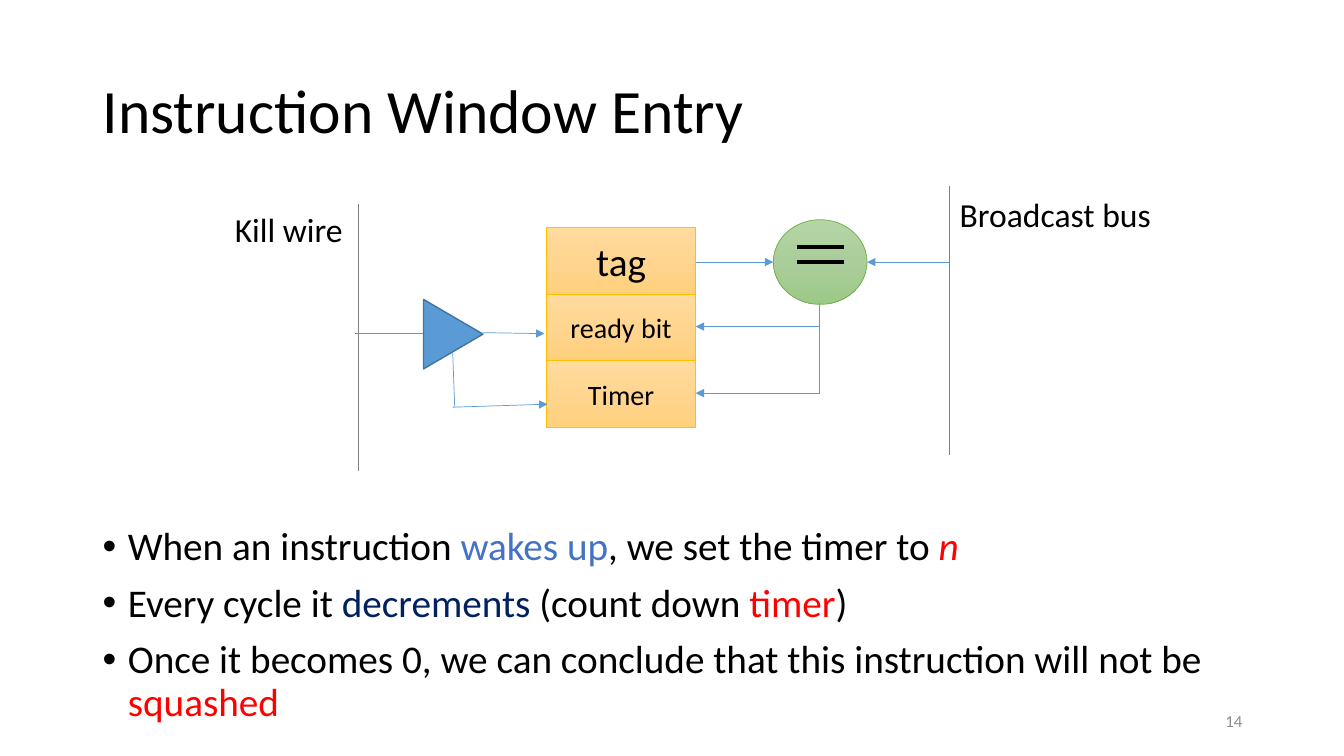
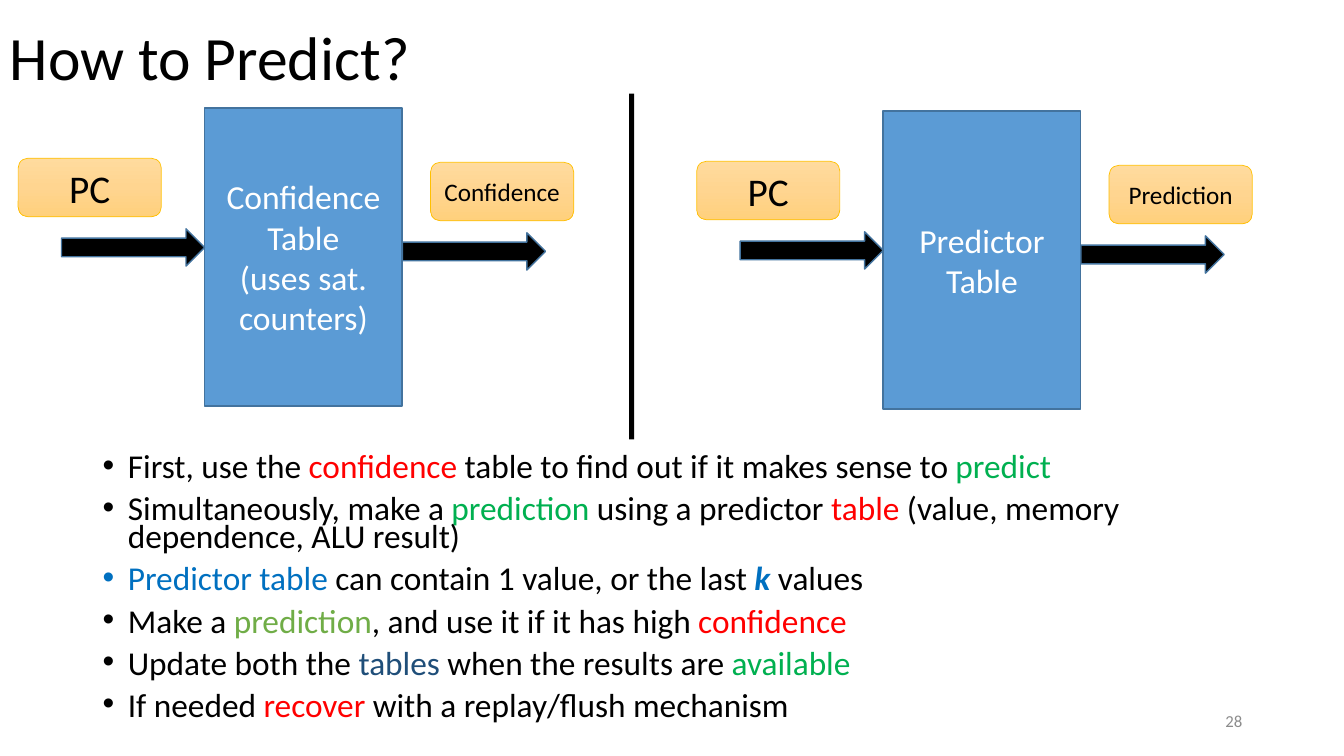
from copy import deepcopy

from lxml import etree
from pptx import Presentation
from pptx.dml.color import RGBColor
from pptx.enum.shapes import MSO_CONNECTOR, MSO_SHAPE
from pptx.enum.text import MSO_ANCHOR, PP_ALIGN
from pptx.oxml.ns import qn
from pptx.util import Inches, Pt

RECT, ROUNDED = MSO_SHAPE.RECTANGLE, MSO_SHAPE.ROUNDED_RECTANGLE
OVAL, TRIANGLE = MSO_SHAPE.OVAL, MSO_SHAPE.ISOSCELES_TRIANGLE
ARROW, STRAIGHT = MSO_SHAPE.RIGHT_ARROW, MSO_CONNECTOR.STRAIGHT
LEFT, CENTER, RIGHT = PP_ALIGN.LEFT, PP_ALIGN.CENTER, PP_ALIGN.RIGHT
TOP, MIDDLE = MSO_ANCHOR.TOP, MSO_ANCHOR.MIDDLE

COLUMNS, ROWS = 13.33, 7.5
FONT = "Calibri"
BLACK, WHITE, GREY, BUS = "000000", "FFFFFF", "8C8C8C", "7F7F7F"
BLUE, BLUE_EDGE = "5B9BD5", "43739E"
RED, GREEN = "FF0000", "00B050"
INDIGO, NAVY, AZURE, LEAF, STEEL = "4472C4", "002060", "0070C0", "70AD47", "1F4E79"
GOLD_EDGE = "FFC000"
GOLD = ("FFDB9E", "FFD590", "FFD07C")
SAGE = ("B5D5A7", "AACE9A", "9CC987")


def color(value):
    return RGBColor.from_string(value)


def grid(*cells):
    return [Inches(cell) for cell in cells]


def write(box, paragraphs, size=24, ink=BLACK, align=LEFT, anchor=TOP,
          wrap=True, spacing=None, before=0, bullet=False):
    frame = box.text_frame
    frame.word_wrap = wrap
    frame.vertical_anchor = anchor
    for index, spans in enumerate(paragraphs):
        para = frame.add_paragraph() if index else frame.paragraphs[0]
        para.alignment = align
        para.space_before = Pt(before)
        if spacing:
            para.line_spacing = spacing
        if bullet:
            properties = para._p.get_or_add_pPr()
            properties.set("marL", str(Inches(0.25)))
            properties.set("indent", str(-Inches(0.25)))
            etree.SubElement(properties, qn("a:buFont")).set("typeface", "Arial")
            etree.SubElement(properties, qn("a:buChar")).set("char", "•")
        for text, *style in [(spans,)] if isinstance(spans, str) else spans:
            span = para.add_run()
            span.text = text
            span.font.name = FONT
            span.font.size = Pt(size)
            span.font.color.rgb = color(style[0] if style else ink)
            span.font.bold = "bold" in style
            span.font.italic = "italic" in style


def add_text(page, place, paragraphs, **style):
    write(page.shapes.add_textbox(*grid(*place)), paragraphs, **style)


def shade(box, stops):
    box.fill.gradient()
    box.fill.gradient_angle = 270
    stop_list = box._element.spPr.find(".//" + qn("a:gsLst"))
    stop_list.insert(1, deepcopy(stop_list[0]))
    for index, stop in enumerate(box.fill.gradient_stops):
        stop.position = index / 2
        stop.color.rgb = color(stops[index])


def add_box(page, kind, place, fill, edge=None, weight=1, turn=0, label=(), **style):
    box = page.shapes.add_shape(kind, *grid(*place))
    box.shadow.inherit = False
    box.rotation = turn
    if isinstance(fill, tuple):
        shade(box, fill)
    else:
        box.fill.solid()
        box.fill.fore_color.rgb = color(fill)
    if edge:
        box.line.color.rgb = color(edge)
        box.line.width = Pt(weight)
    else:
        box.line.fill.background()
    if label:
        write(box, label, align=CENTER, anchor=MIDDLE, **style)


def add_line(page, start, end, ink=BLUE, weight=0.5, arrow=False):
    line = page.shapes.add_connector(STRAIGHT, *grid(*start, *end))
    line.line.color.rgb = color(ink)
    line.line.width = Pt(weight)
    if arrow:
        outline = line.line._get_or_add_ln()
        etree.SubElement(outline, qn("a:tailEnd")).set("type", "triangle")
    etree.SubElement(line._element.spPr, qn("a:effectLst"))


def add_page(deck, title, number, left, top):
    page = deck.slides.add_slide(deck.slide_layouts[6])
    add_text(page, (left, top, 11.5, 1.45), [title], size=44, anchor=MIDDLE, spacing=0.9)
    add_text(page, (9.42, 6.95, 3, 0.4), [number], size=12, ink=GREY,
             align=RIGHT, anchor=MIDDLE)
    return page


def add_bullets(page, top, height, paragraphs, size, spacing):
    add_text(page, (0.92, top, 11.5, height), paragraphs, size=size,
             spacing=spacing, before=10, bullet=True)


def add_entry(page, left, top):
    height = 0.66
    for index, (name, size) in enumerate((("tag", 28), ("ready bit", 20), ("Timer", 20))):
        add_box(page, RECT, (left, top + index * height, 1.48, height), GOLD,
                GOLD_EDGE, 0.5, label=[name], size=size)


def add_comparator(page, entry_right, center, bus):
    tag_row, ready_row, timer_row = 2.6, 3.24, 3.9
    add_line(page, (entry_right, tag_row), (7.67, tag_row), arrow=True)
    add_box(page, OVAL, (7.67, 2.18, 0.93, 0.84), SAGE, LEAF, 0.5)
    for row in (2.45, 2.6):
        add_line(page, (7.9, row), (8.37, row), BLACK, 3)
    add_line(page, (center, 3.01), (center, timer_row))
    for row in (ready_row, timer_row):
        add_line(page, (center, row), (entry_right, row), arrow=True)
    add_line(page, (bus, 1.85), (bus, 4.51), BUS)
    add_line(page, (bus, tag_row), (8.6, tag_row), arrow=True)
    add_text(page, (bus, 1.87, 2.11, 0.5), ["Broadcast bus"], wrap=False)


def add_kill_wire(page, wire):
    add_line(page, (wire, 2.02), (wire, 4.67), BUS)
    add_text(page, (2.23, 2.02, 1.28, 0.5), ["Kill wire"], wrap=False)
    add_box(page, TRIANGLE, (4.15, 3.02, 0.69, 0.59), BLUE, BLUE_EDGE, turn=90)
    add_line(page, (3.52, 3.31), (4.2, 3.31))
    add_line(page, (4.79, 3.3), (5.4, 3.31), arrow=True)
    add_line(page, (4.49, 3.49), (4.51, 4.04))
    add_line(page, (4.49, 4.04), (5.43, 4.01), arrow=True)


def add_lookup(page, left, top, label, result):
    width, arrow = 1.96, 1.42
    add_box(page, RECT, (left, top, width, 2.96), BLUE, BLUE_EDGE, label=label, ink=WHITE)
    for column, row in ((left - arrow, top + 1.2), (left + width, top + 1.24)):
        add_box(page, ARROW, (column, row, arrow, 0.37), BLACK, BLUE_EDGE)
    for column, row, name, size in ((left - 1.85, top + 0.5, "PC", 28),
                                    (left + 2.24, top + 0.54, result, 18)):
        add_box(page, ROUNDED, (column, row, arrow, 0.58), GOLD, GOLD_EDGE, 0.5,
                label=[name], size=size)


def build_window_entry(deck):
    page = add_page(deck, "Instruction Window Entry", "14", 0.92, 0.4)
    add_bullets(page, 5.18, 2.12, [
        [("When an instruction ",), ("wakes up", INDIGO),
         (", we set the timer to ",), ("n", RED, "italic")],
        [("Every cycle it ",), ("decrements", NAVY), (" (count down ",),
         ("timer", RED), (")",)],
        [("Once it becomes 0, we can conclude that this instruction will not be ",),
         ("squashed", RED)],
    ], 28, 0.9)
    add_entry(page, 5.42, 2.26)
    add_comparator(page, 6.9, 8.13, 9.42)
    add_kill_wire(page, 3.55)


def build_prediction(deck):
    page = add_page(deck, "How to Predict?", "28", 0, -0.12)
    add_bullets(page, 4.48, 3.02, [
        [("First, use the ",), ("confidence", RED),
         (" table to find out if it makes sense to ",), ("predict", GREEN)],
        [("Simultaneously, make a ",), ("prediction", GREEN),
         (" using a predictor ",), ("table", RED),
         (" (value, memory dependence, ALU result)",)],
        [("Predictor table ", AZURE), ("can contain 1 value, or the last ",),
         ("k ", AZURE, "bold", "italic"), ("values",)],
        [("Make a ",), ("prediction", LEAF), (", and use it if it has high ",),
         ("confidence", RED)],
        [("Update both the ",), ("tables", STEEL), (" when the results are ",),
         ("available", GREEN)],
        [("If needed ",), ("recover", RED), (" with a replay/flush mechanism",)],
    ], 23.8, 0.7)
    add_lookup(page, 2.03, 1.07, ["Confidence", "Table", "(uses sat. counters)"], "Confidence")
    add_lookup(page, 8.76, 1.1, ["Predictor", "Table"], "Prediction")
    add_box(page, RECT, (6.24, 0.93, 0.05, 3.43), BLACK)


def main():
    deck = Presentation()
    deck.slide_width, deck.slide_height = grid(COLUMNS, ROWS)
    build_window_entry(deck)
    build_prediction(deck)
    deck.save("out.pptx")


main()
